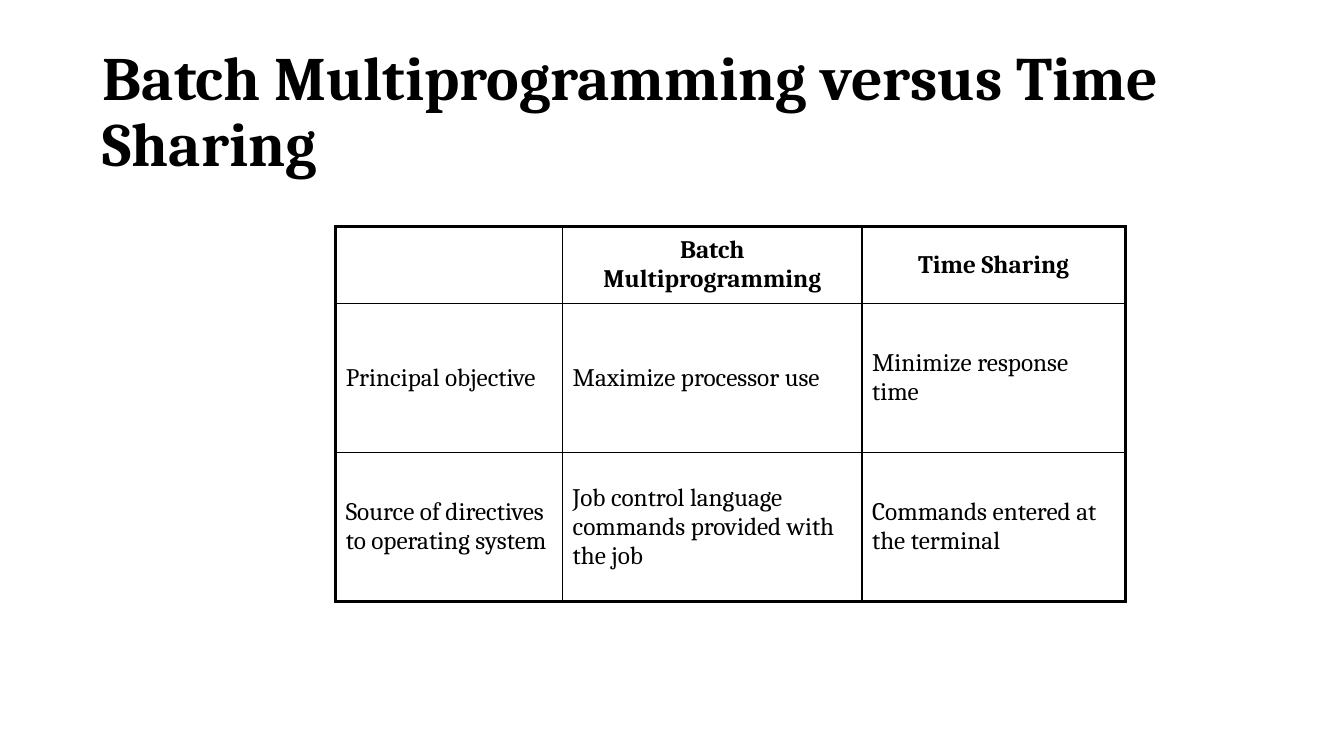
from dataclasses import dataclass

from lxml.etree import SubElement
from pptx import Presentation
from pptx.dml.color import RGBColor
from pptx.enum.text import MSO_ANCHOR, MSO_AUTO_SIZE, PP_ALIGN
from pptx.oxml.ns import qn
from pptx.util import Inches, Pt


@dataclass(frozen=True)
class Theme:
    font: str = "Cambria"
    ink: str = "000000"
    title_size: float = 44
    table_size: float = 18
    outer_line: float = 2.25
    inner_line: float = 1


THEME = Theme()
TITLE_BOX = (0.92, 0.4, 11.5, 1.45)
TABLE_BOX = (3.33, 2.25, 7.83, 3.72)
COLUMN_WIDTHS = (2.25, 2.97, 2.61)
HEADER_HEIGHT = 0.76
COMPARISON = (
    ("", "Batch Multiprogramming", "Time Sharing"),
    ("Principal objective", "Maximize processor use", "Minimize response time"),
    (
        "Source of directives to operating system",
        "Job control language commands provided with the job",
        "Commands entered at the terminal",
    ),
)


def style_font(font, size, bold):
    font.name = THEME.font
    font.size = Pt(size)
    font.bold = bold
    font.color.rgb = RGBColor.from_string(THEME.ink)


def add_title(page, box, text):
    title = page.shapes.title
    title.left, title.top, title.width, title.height = map(Inches, box)
    frame = title.text_frame
    frame.text = text
    frame.word_wrap = True
    frame.auto_size = MSO_AUTO_SIZE.NONE
    frame.vertical_anchor = MSO_ANCHOR.MIDDLE
    para = frame.paragraphs[0]
    para.alignment = PP_ALIGN.LEFT
    para.line_spacing = 0.9
    style_font(para.font, THEME.title_size, True)


def set_borders(cell, outer_sides):
    """Draw all four sides, with the heavy line on those at the table's edge."""
    properties = cell._tc.get_or_add_tcPr()
    for side in "LRTB":
        width = THEME.outer_line if side in outer_sides else THEME.inner_line
        line = SubElement(properties, qn(f"a:ln{side}"), w=str(Pt(width)))
        fill = SubElement(line, qn("a:solidFill"))
        SubElement(fill, qn("a:srgbClr"), val=THEME.ink)


def fill_cell(cell, text, is_header):
    cell.fill.background()
    cell.vertical_anchor = MSO_ANCHOR.MIDDLE
    cell.text = text
    para = cell.text_frame.paragraphs[0]
    para.alignment = PP_ALIGN.CENTER if is_header else PP_ALIGN.LEFT
    para.space_before = Pt(0.2 * THEME.table_size)
    style_font(para.font, THEME.table_size, is_header)


def add_comparison_table(page, box, rows):
    last_row, last_column = len(rows) - 1, len(COLUMN_WIDTHS) - 1
    frame = page.shapes.add_table(len(rows), len(COLUMN_WIDTHS), *map(Inches, box))
    table = frame.table
    table.first_row = table.horz_banding = False
    for column, width in zip(table.columns, COLUMN_WIDTHS):
        column.width = Inches(width)
    body_height = (box[3] - HEADER_HEIGHT) / last_row
    for r, texts in enumerate(rows):
        table.rows[r].height = Inches(body_height if r else HEADER_HEIGHT)
        for c, text in enumerate(texts):
            edges = {"L": c == 0, "R": c == last_column, "T": r == 0, "B": r == last_row}
            cell = table.cell(r, c)
            set_borders(cell, [side for side, is_outer in edges.items() if is_outer])
            fill_cell(cell, text, is_header=r == 0)


def main():
    deck = Presentation()
    deck.slide_width, deck.slide_height = Inches(13.33), Inches(7.5)
    page = deck.slides.add_slide(deck.slide_layouts.get_by_name("Title Only"))
    add_title(page, TITLE_BOX, "Batch Multiprogramming versus Time Sharing")
    add_comparison_table(page, TABLE_BOX, COMPARISON)
    deck.save("out.pptx")


if __name__ == "__main__":
    main()
